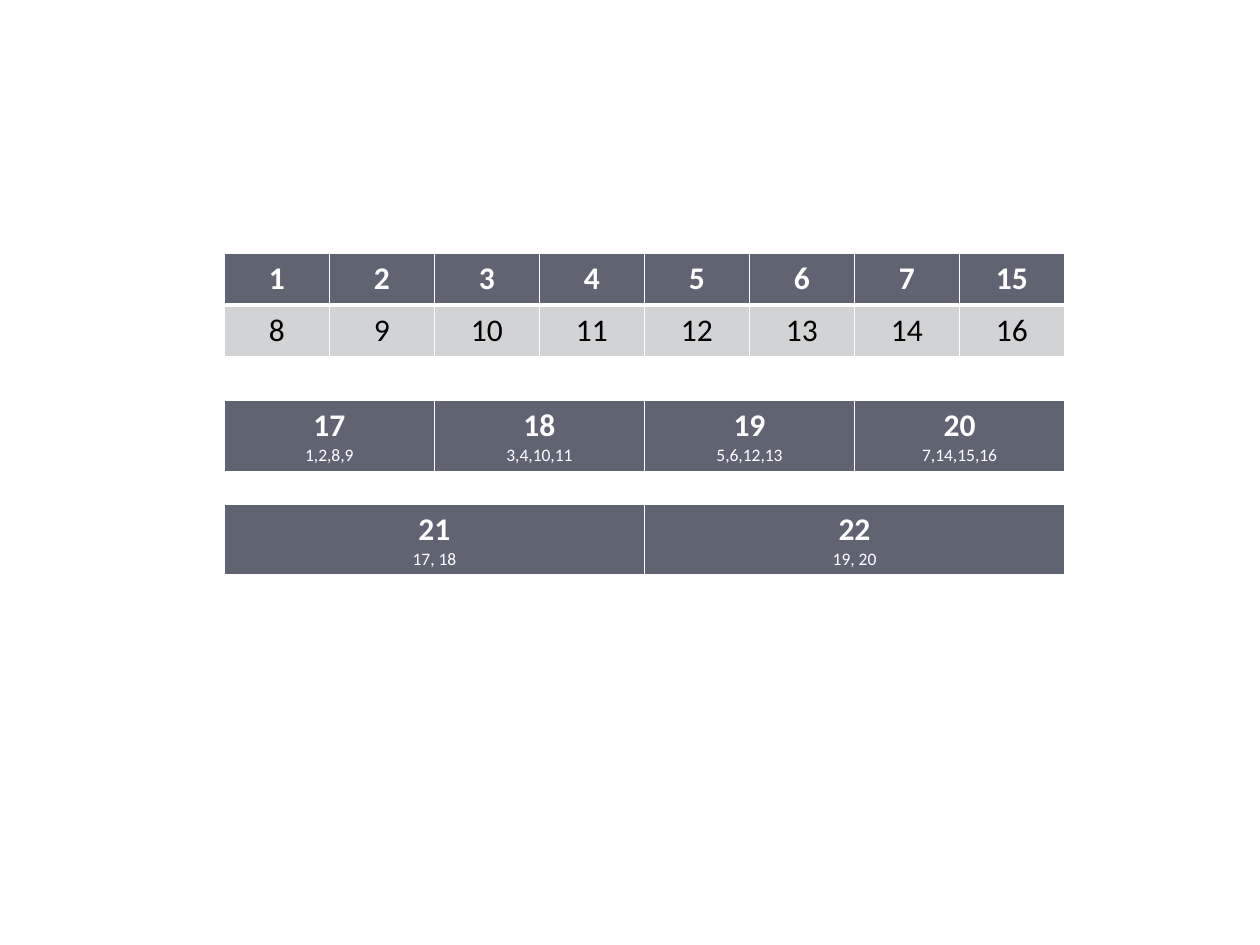
import pptx
import pptx.dml.color
import pptx.enum.text
import pptx.oxml
import pptx.oxml.ns
import pptx.util
from pptx.util import Inches

DARK, PALE, WHITE, BLACK = "606372", "D2D3D5", "FFFFFF", "000000"
LEFT, WIDTH, ROW_HEIGHT = 1.78, 6.67, 0.41

# Each table: top, rows; each cell: number, then the numbers it combines
TABLES = [
    (2.01, [
        [("1",), ("2",), ("3",), ("4",), ("5",), ("6",), ("7",), ("15",)],
        [("8",), ("9",), ("10",), ("11",), ("12",), ("13",), ("14",), ("16",)],
    ]),
    (3.18, [[("17", "1,2,8,9"), ("18", "3,4,10,11"),
             ("19", "5,6,12,13"), ("20", "7,14,15,16")]]),
    (4.00, [[("21", "17, 18"), ("22", "19, 20")]]),
]


def color(value):
    return pptx.dml.color.RGBColor.from_string(value)


def add_borders(cell, is_header):
    """Call before filling the cell: borders come first in its XML."""
    widths = {"L": 1, "R": 1, "T": 1 if is_header else 3, "B": 3 if is_header else 1}
    properties = cell._tc.get_or_add_tcPr()
    for side, points in widths.items():
        properties.append(pptx.oxml.parse_xml(
            f'<a:ln{side} {pptx.oxml.ns.nsdecls("a")} w="{pptx.util.Pt(points)}">'
            f'<a:solidFill><a:srgbClr val="{WHITE}"/></a:solidFill></a:ln{side}>'))


def fill_cell(cell, lines, is_header):
    add_borders(cell, is_header)
    cell.fill.solid()
    cell.fill.fore_color.rgb = color(DARK if is_header else PALE)
    for index, line in enumerate(lines):
        frame = cell.text_frame
        para = frame.paragraphs[0] if index == 0 else frame.add_paragraph()
        para.alignment = pptx.enum.text.PP_ALIGN.CENTER
        span = para.add_run()
        span.text = line
        span.font.name = "Calibri"
        span.font.size = pptx.util.Pt(18 if index == 0 else 10)
        span.font.bold = is_header and index == 0
        span.font.color.rgb = color(WHITE if is_header else BLACK)


def add_number_table(page, top, rows):
    columns = len(rows[0])
    table = page.shapes.add_table(
        len(rows), columns, Inches(LEFT), Inches(top),
        Inches(WIDTH), Inches(ROW_HEIGHT * len(rows))).table
    table.horz_banding = False
    for column in table.columns:
        column.width = Inches(WIDTH / columns)
    for row_index, row in enumerate(rows):
        for column_index, lines in enumerate(row):
            fill_cell(table.cell(row_index, column_index), lines, row_index == 0)


deck = pptx.Presentation()
deck.slide_width, deck.slide_height = Inches(10), Inches(7.5)
page = deck.slides.add_slide(deck.slide_layouts[6])
for top, rows in TABLES:
    add_number_table(page, top, rows)
deck.save("out.pptx")
